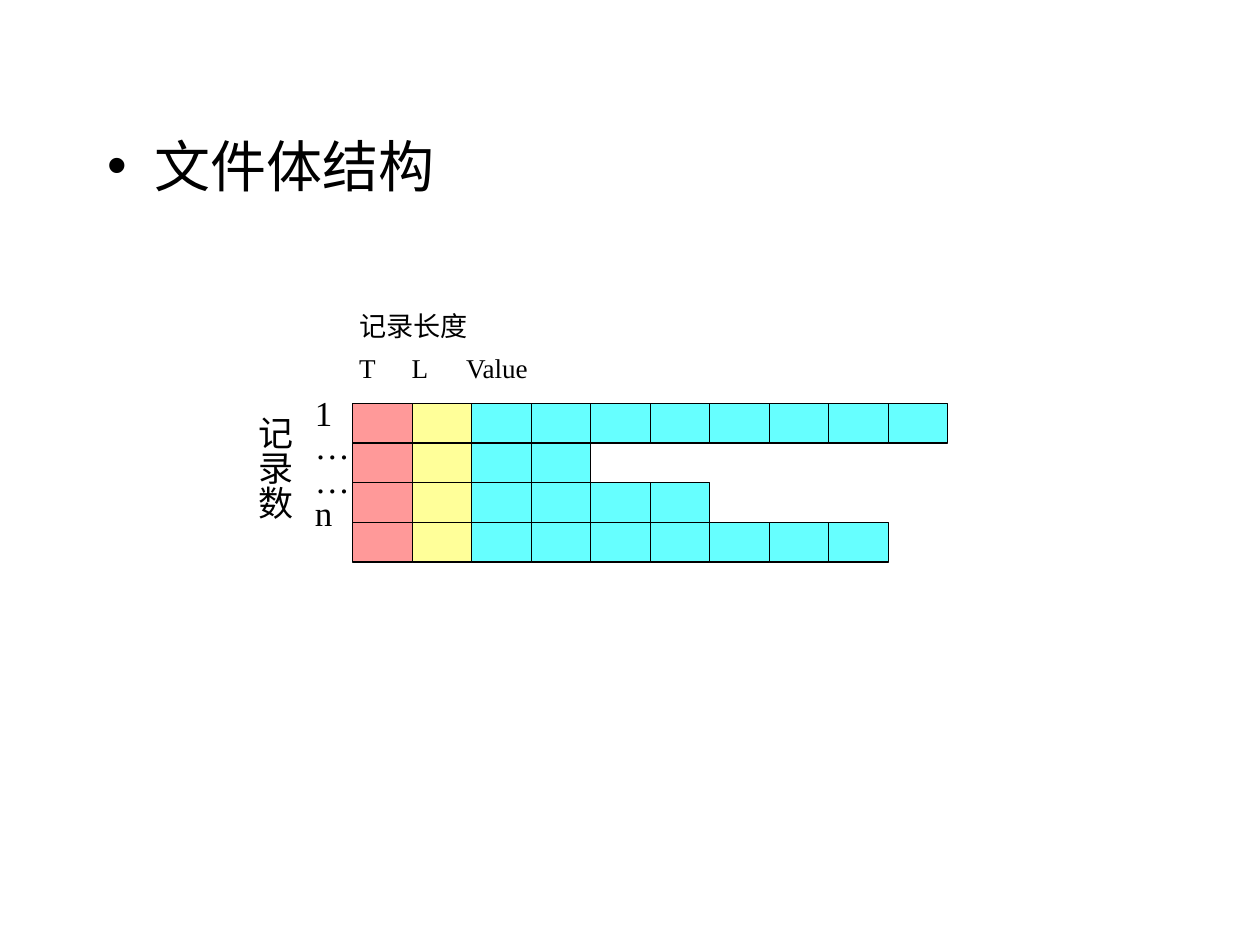
from lxml import etree
from pptx import Presentation
from pptx.dml.color import RGBColor
from pptx.enum.shapes import MSO_SHAPE
from pptx.enum.text import MSO_ANCHOR, MSO_AUTO_SIZE
from pptx.oxml.ns import qn
from pptx.util import Pt

# Content
HEADING = "文件体结构"
COLUMN_LABELS = ["记录长度", "T\tL\tValue"]
COUNT_LABEL = ["记录数"]
ROW_LABELS = ["1", "…", "…", "n"]
VALUE_CELLS = [8, 2, 4, 7]  # value cells in each record, after T and L

COLORS = {"type": "FF9999", "length": "FFFF99", "value": "66FFFF", "ink": "000000"}
FONT = "Times New Roman"

# Grid, in points
GRID_LEFT, GRID_TOP = 201.6, 230.4
CELL_WIDTH, CELL_HEIGHT = 34, 22.7
COLUMN_TABS = [30, 61]


def color(name):
    return RGBColor.from_string(COLORS[name])


def set_place(shape, left, top, width, height):
    place = {"left": left, "top": top, "width": width, "height": height}
    for name, value in place.items():
        setattr(shape, name, Pt(value))


def write(frame, lines, size, margins, spacing=None, gap=0):
    left, top, right, bottom = margins
    frame_format = {
        "word_wrap": True, "auto_size": MSO_AUTO_SIZE.NONE,
        "vertical_anchor": MSO_ANCHOR.TOP,
        "margin_left": Pt(left), "margin_top": Pt(top),
        "margin_right": Pt(right), "margin_bottom": Pt(bottom),
    }
    for name, value in frame_format.items():
        setattr(frame, name, value)
    for index, line in enumerate(lines):
        paragraph = frame.add_paragraph() if index else frame.paragraphs[0]
        paragraph.space_before = Pt(gap if index else 0)
        paragraph.line_spacing = spacing
        run = paragraph.add_run()
        run.text = line
        for name, value in {"name": FONT, "size": Pt(size)}.items():
            setattr(run.font, name, value)
        run.font.color.rgb = color("ink")


def add_label(shapes, place, *text, **spacing):
    label = shapes.add_textbox(*map(Pt, place))
    write(label.text_frame, *text, **spacing)
    return label


def add_cell(shapes, row, column, kind):
    cell = shapes.add_shape(
        MSO_SHAPE.RECTANGLE,
        Pt(GRID_LEFT + column * CELL_WIDTH), Pt(GRID_TOP + row * CELL_HEIGHT),
        Pt(CELL_WIDTH), Pt(CELL_HEIGHT))
    cell.shadow.inherit = False
    cell.fill.solid()
    cell.fill.fore_color.rgb = color(kind)
    cell.line.color.rgb = color("ink")
    cell.line.width = Pt(0.75)


def main():
    deck = Presentation()
    deck.slide_width, deck.slide_height = Pt(720), Pt(540)
    slide = deck.slides.add_slide(deck.slide_layouts[1])

    # Heading in the body placeholder; the slide has no title
    title = slide.shapes.title.element
    title.getparent().remove(title)
    heading = slide.placeholders[1]
    set_place(heading, 54, 71.3, 612, 46)
    write(heading.text_frame, [HEADING], 32, (7.2, 3.6, 7.2, 3.6))

    diagram = slide.shapes.add_group_shape().shapes

    # Labels above the columns, with tab stops at the field names
    columns = add_label(diagram, (184.3, 173.5, 374.4, 51), COLUMN_LABELS,
                        15.5, (21, 3.6, 7.2, 3.6), gap=5)
    fields = columns.element.txBody.p_lst[1].get_or_add_pPr()
    tab_list = etree.SubElement(fields, qn("a:tabLst"))
    for stop in COLUMN_TABS:
        etree.SubElement(tab_list, qn("a:tab"), pos=str(Pt(stop)), algn="l")

    # Records: type, length, then the value cells
    for row, count in enumerate(VALUE_CELLS):
        for column, kind in enumerate(["type", "length"] + ["value"] * count):
            add_cell(diagram, row, column, kind)

    # Labels beside the rows
    count_label = add_label(diagram, (150.5, 230.4, 22.3, 79.2), COUNT_LABEL,
                            20, (3.6, 7.2, 3.6, 7.2))
    count_label.element.txBody.bodyPr.set("vert", "eaVert")
    add_label(diagram, (172.8, 224.6, 34, 90.7), ROW_LABELS,
              20, (7.2, 3.6, 7.2, 3.6), spacing=0.8)

    deck.save("out.pptx")


if __name__ == "__main__":
    main()
